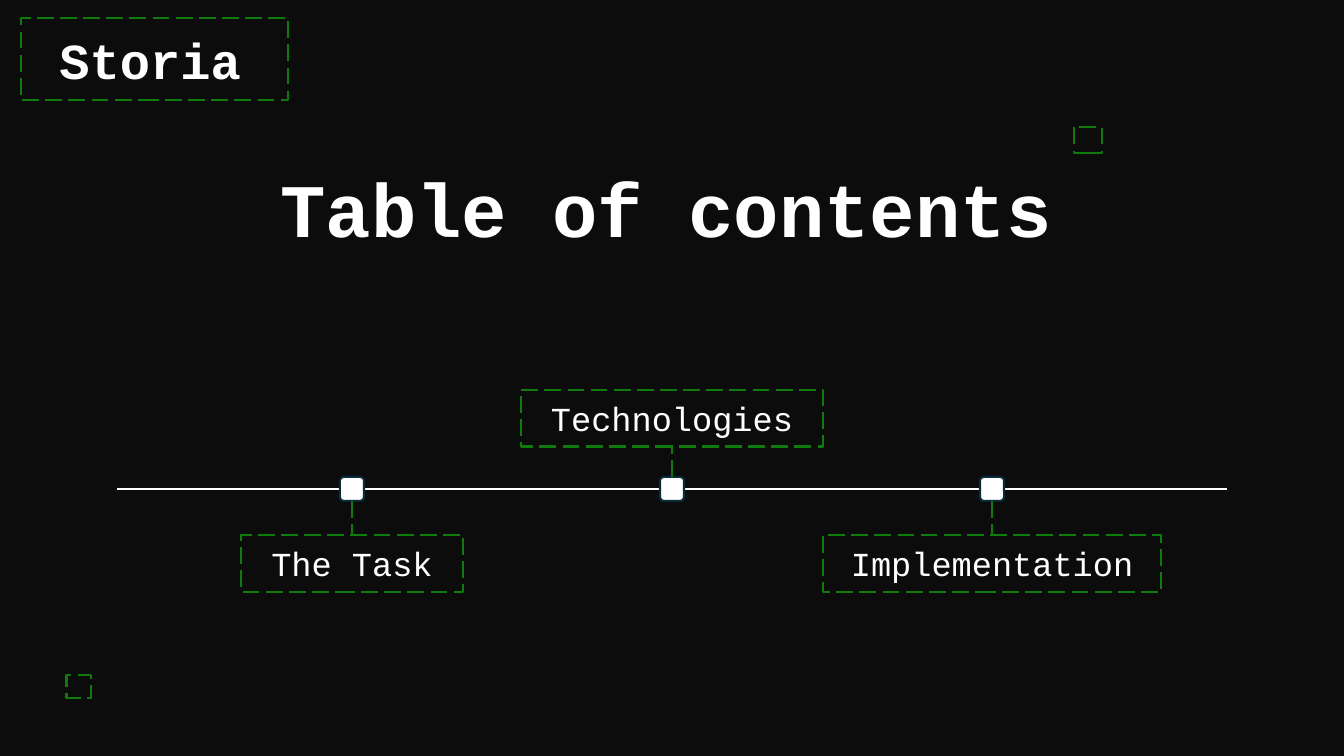
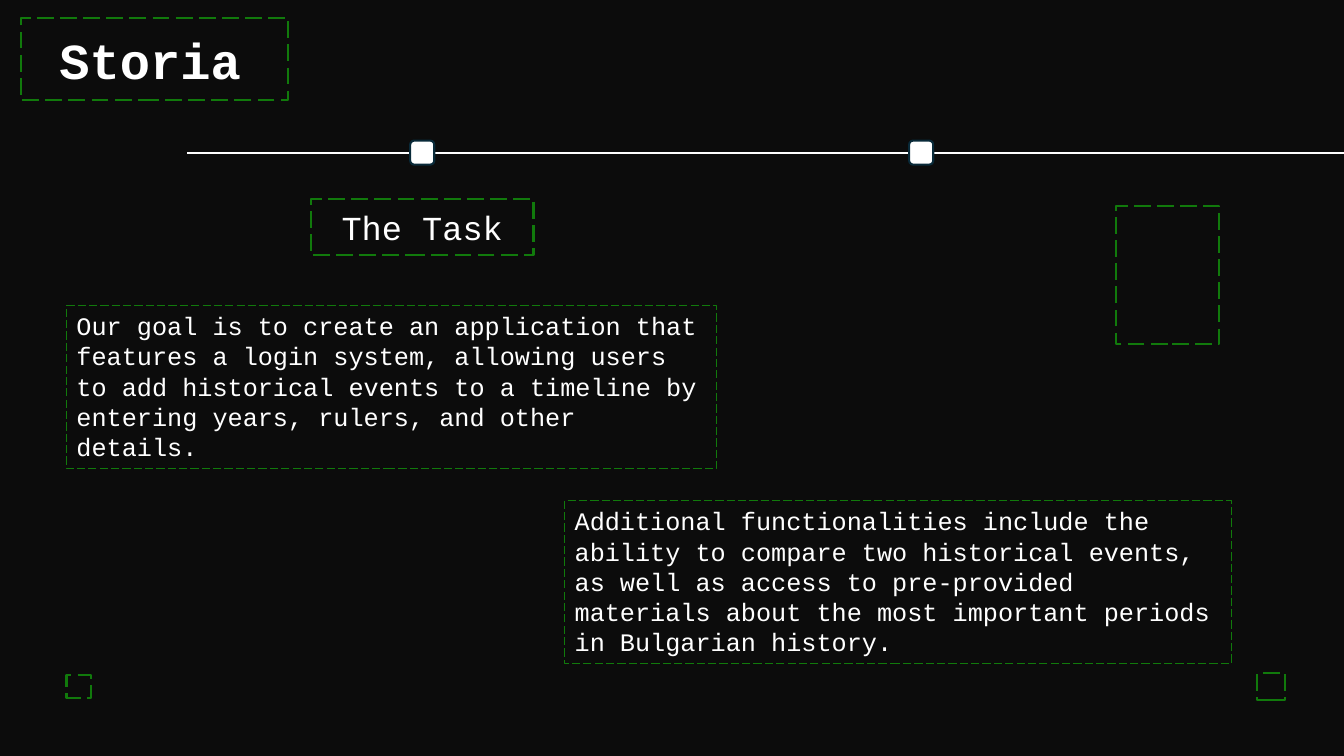
from lxml.etree import SubElement
from pptx import Presentation
from pptx.dml.color import RGBColor
from pptx.enum.dml import MSO_LINE
from pptx.enum.shapes import MSO_CONNECTOR, MSO_SHAPE
from pptx.enum.text import MSO_ANCHOR, MSO_AUTO_SIZE, PP_ALIGN
from pptx.oxml.ns import qn
from pptx.util import Pt

# Shared look
SLIDE_W, SLIDE_H = 960, 540
FONT = "Courier New"
NIGHT, WHITE, GREEN, NAVY = "0C0C0C", "FFFFFF", "117A0C", "092A39"
MARKER = 17.2
LABEL_H = 40.4
LABEL_DROP = 33
LABEL_RISE = 30.2


def colour(hex_code):
    return RGBColor.from_string(hex_code)


def style_line(line, hex_code, weight=1.5, dashed=False):
    line.color.rgb = colour(hex_code)
    line.width = Pt(weight)
    if dashed:
        line.dash_style = MSO_LINE.LONG_DASH


def place(item, left, top, width, height):
    item.left, item.top = Pt(left), Pt(top)
    item.width, item.height = Pt(width), Pt(height)


def write(item, wording, size, bold=False, align=PP_ALIGN.LEFT,
          anchor=MSO_ANCHOR.MIDDLE, inset=7.2):
    frame = item.text_frame
    frame.word_wrap = True
    frame.auto_size = MSO_AUTO_SIZE.NONE
    frame.vertical_anchor = anchor
    frame.margin_left = Pt(inset)
    frame.margin_right = Pt(min(inset, 7.2))
    frame.margin_top = frame.margin_bottom = Pt(3.6)
    paragraph = frame.paragraphs[0]
    paragraph.alignment = align
    run = paragraph.add_run()
    run.text = wording
    run.font.name = FONT
    run.font.size = Pt(size)
    run.font.bold = bold
    run.font.color.rgb = colour(WHITE)


# Kinds of element
def add_frame(slide, left, top, width, height, weight=1.5):
    """Unfilled box with a dashed green outline."""
    frame = slide.shapes.add_shape(
        MSO_SHAPE.RECTANGLE, Pt(left), Pt(top), Pt(width), Pt(height))
    frame.shadow.inherit = False
    frame.fill.background()
    style_line(frame.line, GREEN, weight, dashed=True)
    return frame


def add_rule(slide, x1, y1, x2, y2, hex_code, dashed=False):
    rule = slide.shapes.add_connector(
        MSO_CONNECTOR.STRAIGHT, Pt(x1), Pt(y1), Pt(x2), Pt(y2))
    style_line(rule.line, hex_code, dashed=dashed)
    SubElement(rule._element.spPr, qn("a:effectLst"))


def add_timeline(slide, start, end, y, stops):
    add_rule(slide, start, y, end, y, WHITE)
    for x in stops:
        marker = slide.shapes.add_shape(
            MSO_SHAPE.ROUNDED_RECTANGLE, Pt(x - MARKER / 2),
            Pt(y - MARKER / 2), Pt(MARKER), Pt(MARKER))
        marker.shadow.inherit = False
        marker.fill.solid()
        marker.fill.fore_color.rgb = colour(WHITE)
        style_line(marker.line, NAVY)


def add_stop_label(slide, wording, x, y, width, above=False):
    """Framed label joined to its timeline marker."""
    top = y - LABEL_RISE - LABEL_H if above else y + LABEL_DROP
    label = add_frame(slide, x - width / 2, top, width, LABEL_H)
    write(label, wording, 24, align=PP_ALIGN.CENTER, inset=3.6)
    if above:
        add_rule(slide, x, y - MARKER / 2, x, y - LABEL_RISE, GREEN, True)
    else:
        add_rule(slide, x, y + MARKER / 2, x, top, GREEN, True)


def add_body(slide, wording, left, top, width):
    body = add_frame(slide, left, top, width, 116.6, weight=0.75)
    write(body, wording, 18, anchor=MSO_ANCHOR.TOP)


def add_branded_slide(deck):
    slide = deck.slides.add_slide(deck.slide_layouts[5])
    badge = add_frame(slide, 15, 13, 191, 58.4)
    write(badge, "Storia", 36, bold=True, inset=27.4)
    add_frame(slide, 47.5, 482.2, 17.2, 16.6)
    return slide


# Slides
def build_contents(deck):
    slide = add_branded_slide(deck)
    title = slide.shapes.title
    place(title, 193, 111.6, 574.6, 72.7)
    write(title, "Table of contents", 54, bold=True)
    add_frame(slide, 767, 90.6, 20, 19)

    y, step = 349.2, 228.6
    centre = SLIDE_W / 2
    stops = [centre - step, centre, centre + step]
    add_timeline(slide, 83.6, 876.4, y, stops)
    labels = [("The Task", 159, False), ("Technologies", 216, True),
              ("Implementation", 242, False)]
    for x, (wording, width, above) in zip(stops, labels):
        add_stop_label(slide, wording, x, y, width, above)


def build_task(deck):
    slide = add_branded_slide(deck)
    y, stops = 109, [301.6, 658]
    add_timeline(slide, 133.8, SLIDE_W, y, stops)

    title = slide.shapes.title
    place(title, stops[0] - 159 / 2, y + LABEL_DROP, 159, LABEL_H)
    style_line(title.line, GREEN, dashed=True)
    write(title, "The Task", 24, align=PP_ALIGN.CENTER)

    add_body(slide, "Our goal is to create an application that features a "
             "login system, allowing users to add historical events to a "
             "timeline by entering years, rulers, and other details.",
             47.5, 218.2, 464.4)
    add_body(slide, "Additional functionalities include the ability to "
             "compare two historical events, as well as access to "
             "pre-provided materials about the most important periods in "
             "Bulgarian history.", 403.4, 357.6, 476)
    add_frame(slide, 797, 147, 74, 98.8)
    add_frame(slide, 898, 481, 20, 19)


def main():
    deck = Presentation()
    deck.slide_width, deck.slide_height = Pt(SLIDE_W), Pt(SLIDE_H)
    backdrop = deck.slide_master.background.fill
    backdrop.solid()
    backdrop.fore_color.rgb = colour(NIGHT)
    build_contents(deck)
    build_task(deck)
    deck.save("out.pptx")


if __name__ == "__main__":
    main()
